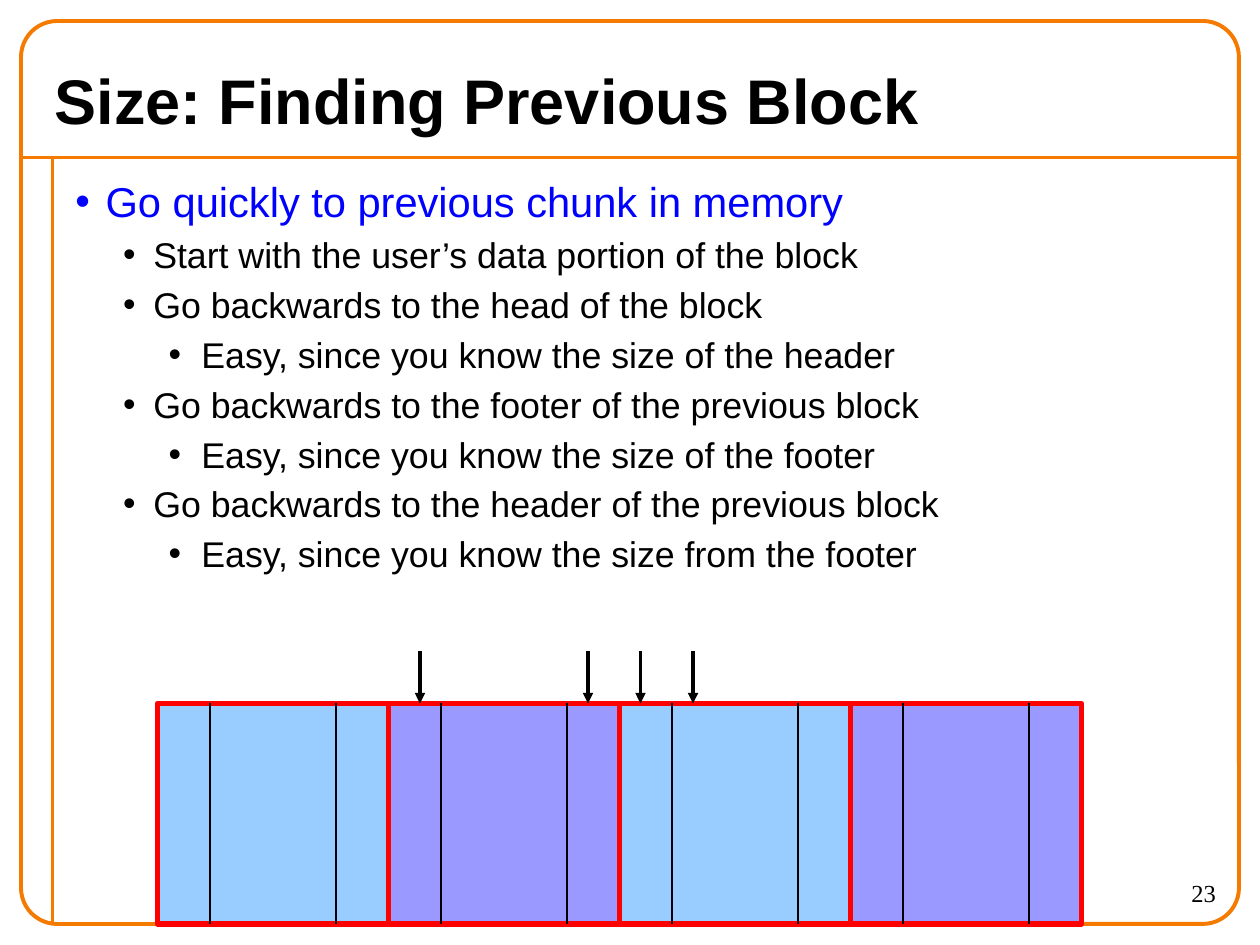
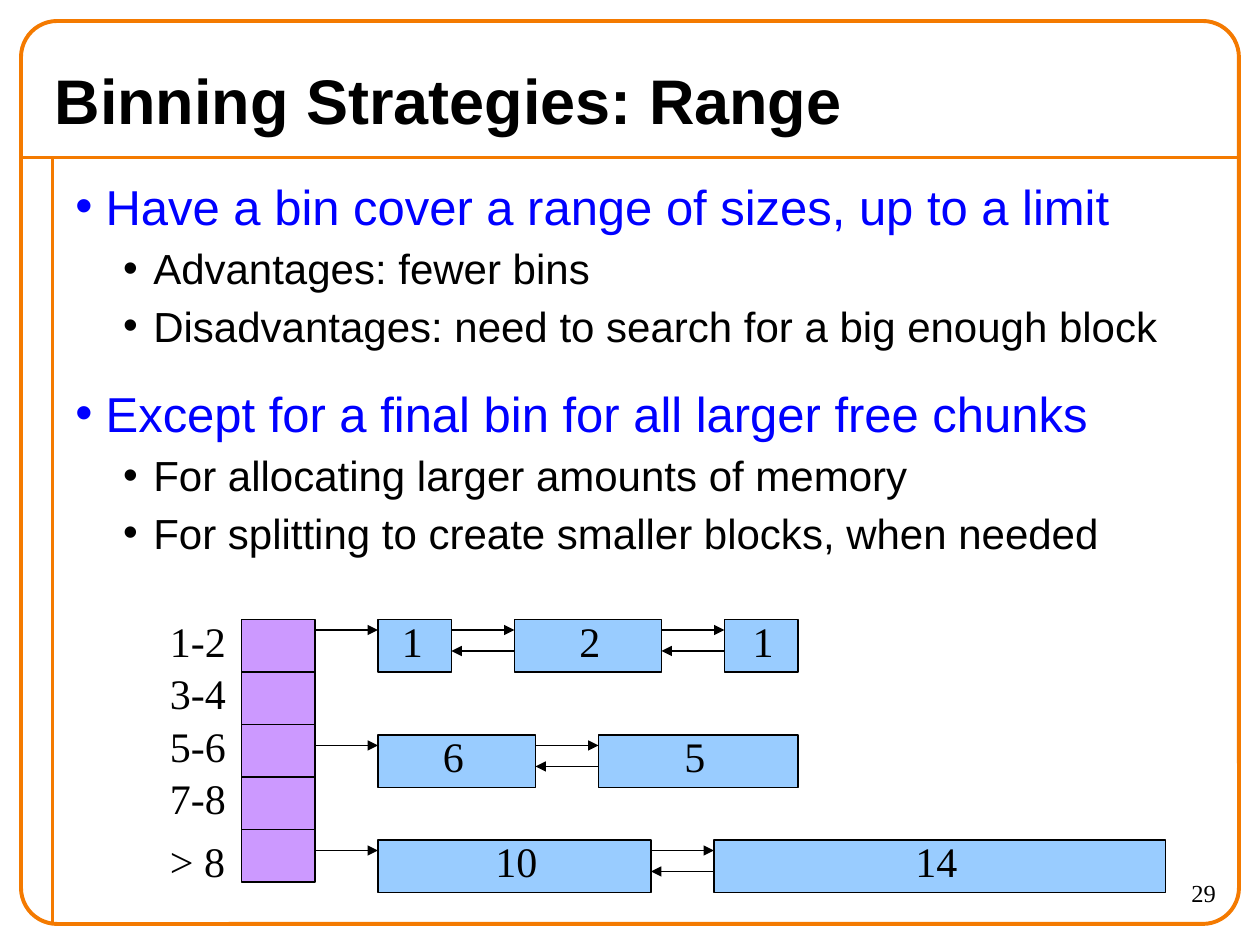
from lxml import etree
from pptx import Presentation
from pptx.dml.color import RGBColor
from pptx.enum.shapes import MSO_CONNECTOR, MSO_SHAPE
from pptx.enum.text import MSO_ANCHOR, MSO_AUTO_SIZE, PP_ALIGN
from pptx.oxml.ns import qn
from pptx.util import Cm, Pt

RECT = MSO_SHAPE.RECTANGLE
ROUND = MSO_SHAPE.ROUNDED_RECTANGLE
LINE = MSO_CONNECTOR.STRAIGHT
MID = MSO_ANCHOR.MIDDLE
TOP = MSO_ANCHOR.TOP
FIT = MSO_AUTO_SIZE.SHAPE_TO_FIT_TEXT
FIXED = MSO_AUTO_SIZE.NONE
LEFT = PP_ALIGN.LEFT
RIGHT = PP_ALIGN.RIGHT

BLACK = RGBColor(0, 0, 0)
BLUE = RGBColor(0, 0, 255)
RED = RGBColor(255, 0, 0)
ORANGE = RGBColor(0xF4, 0x7A, 0x00)
SKY = RGBColor(0x99, 0xCC, 0xFF)
VIOLET = RGBColor(0x99, 0x99, 0xFF)
MAUVE = RGBColor(0xCC, 0x99, 0xFF)
SANS = "Arial"
SERIF = "Times New Roman"

UNIT = 2.54 / 12


def box(slide, kind, place, fill, color, width):
    shape = slide.shapes.add_shape(kind, *[Cm(n * UNIT) for n in place])
    shape.shadow.inherit = False
    if fill is None:
        shape.fill.background()
    else:
        shape.fill.solid()
        shape.fill.fore_color.rgb = fill
    shape.line.color.rgb = color
    shape.line.width = Pt(width)
    return shape


def wire(slide, ends, color, width, arrow=False):
    line = slide.shapes.add_connector(LINE, *[Cm(n * UNIT) for n in ends])
    line.line.color.rgb = color
    line.line.width = Pt(width)
    props = line._element.spPr
    if arrow:
        etree.SubElement(props.find(qn("a:ln")), qn("a:tailEnd"), type="triangle")
    etree.SubElement(props, qn("a:effectLst"))


PAGES = [
    ("Size: Finding Previous Block", "23", 39, (23.8, 20.4, 20.4), [
        (0, "Go quickly to previous chunk in memory"),
        (1, "Start with the user’s data portion of the block"),
        (1, "Go backwards to the head of the block"),
        (2, "Easy, since you know the size of the header"),
        (1, "Go backwards to the footer of the previous block"),
        (2, "Easy, since you know the size of the footer"),
        (1, "Go backwards to the header of the previous block"),
        (2, "Easy, since you know the size from the footer"),
    ]),
    ("Binning Strategies: Range", "29", 41, (28, 24), [
        (0, "Have a bin cover a range of sizes, up to a limit"),
        (1, "Advantages: fewer bins"),
        (1, "Disadvantages: need to search for a big enough block"),
        (0, "Except for a final bin for all larger free chunks"),
        (1, "For allocating larger amounts of memory"),
        (1, "For splitting to create smaller blocks, when needed"),
    ]),
]
LEVELS = [(0.61, 0.61, 17.5, BLUE), (1.57, 0.61, 3, BLACK), (2.54, 0.66, 3, BLACK)]

deck = Presentation()
deck.slide_width = Cm(25.4)
deck.slide_height = Cm(19.05)
labels = []

for name, number, height, sizes, points in PAGES:
    slide = deck.slides.add_slide(deck.slide_layouts[5])
    wire(slide, (2, 15, 118, 15), ORANGE, 2.25)
    wire(slide, (5, 15, 5, 88), ORANGE, 2.25)
    frame = box(slide, ROUND, (2, 2, 116, 86), None, ORANGE, 2.25)
    frame.adjustments[0] = 0.04
    labels.append((slide, 105, 83, 12, number, 14, RIGHT))

    title = slide.shapes.title
    title.left, title.top, title.width, title.height = [
        Cm(n * UNIT) for n in (4, 5, 112, 9)]
    text = title.text_frame
    text.auto_size = FIXED
    text.vertical_anchor = MID
    para = text.paragraphs[0]
    para.alignment = LEFT
    run = para.add_run()
    run.text = name
    run.font.name = SANS
    run.font.size = Pt(36)
    run.font.bold = True
    run.font.color.rgb = BLACK

    body = slide.shapes.add_textbox(*[Cm(n * UNIT) for n in (6, 16, 111, height)])
    text = body.text_frame
    text.word_wrap = True
    for rank, (level, words) in enumerate(points):
        para = text.add_paragraph() if rank else text.paragraphs[0]
        margin, hang, gap, color = LEVELS[level]
        para.level = level
        para.line_spacing = 1.04
        para.space_before = Pt(gap if rank else 0)
        props = para._p.get_or_add_pPr()
        props.set("marL", str(Cm(margin)))
        props.set("indent", str(-Cm(hang)))
        tint = etree.SubElement(props, qn("a:buClr"))
        etree.SubElement(tint, qn("a:srgbClr"), val=str(color))
        etree.SubElement(props, qn("a:buFont"), typeface=SANS)
        etree.SubElement(props, qn("a:buChar"), char="•")
        run = para.add_run()
        run.text = words
        run.font.name = SANS
        run.font.size = Pt(sizes[level])
        run.font.color.rgb = color

heap, bins = deck.slides

starts = range(15, 103, 22)
for rank, left in enumerate(starts):
    box(heap, RECT, (left, 67, 22, 21), (SKY, VIOLET)[rank % 2], RED, 3)
for left in starts:
    for edge in (left + 5, left + 17):
        wire(heap, (edge, 67, edge, 88), BLACK, 0.75)
for stop in (66, 61, 56, 40):
    wire(heap, (stop, 62, stop, 67), BLACK, 2, True)

RANGES = [("1-2", 58), ("3-4", 63), ("5-6", 68), ("7-8", 73), ("> 8", 79)]
for rank, (words, top) in enumerate(RANGES):
    box(bins, RECT, (23, 59 + 5 * rank, 7, 5), MAUVE, BLACK, 0.75)
    labels.append((bins, 15, top, 7.7, words, 24, LEFT))

CHAINS = [
    (59, [("1", 7, 37.1), ("2", 14, 54), ("1", 7, 70.5)]),
    (70, [("6", 15, 41), ("5", 19, 64)]),
    (80, [("10", 26, 46), ("14", 43, 86)]),
]
for top, chunks in CHAINS:
    left = 36
    for rank, (words, width, start) in enumerate(chunks):
        box(bins, RECT, (left, top, width, 5), SKY, BLACK, 0.75)
        wire(bins, (left - 6, top + 1, left, top + 1), BLACK, 0.75, True)
        if rank:
            wire(bins, (left, top + 3, left - 6, top + 3), BLACK, 0.75, True)
        labels.append((bins, start, top - 1, 2.2 + 2.1 * len(words), words, 24, LEFT))
        left += width + 6

for slide, left, top, width, words, size, align in labels:
    height = 6 if size == 24 else 5
    label = slide.shapes.add_textbox(*[Cm(n * UNIT) for n in (left, top, width, height)])
    text = label.text_frame
    text.vertical_anchor = TOP
    text.word_wrap = size != 24
    text.auto_size = FIT if size == 24 else FIXED
    para = text.paragraphs[0]
    para.alignment = align
    run = para.add_run()
    run.text = words
    run.font.name = SERIF
    run.font.size = Pt(size)
    run.font.color.rgb = BLACK

deck.save("out.pptx")
